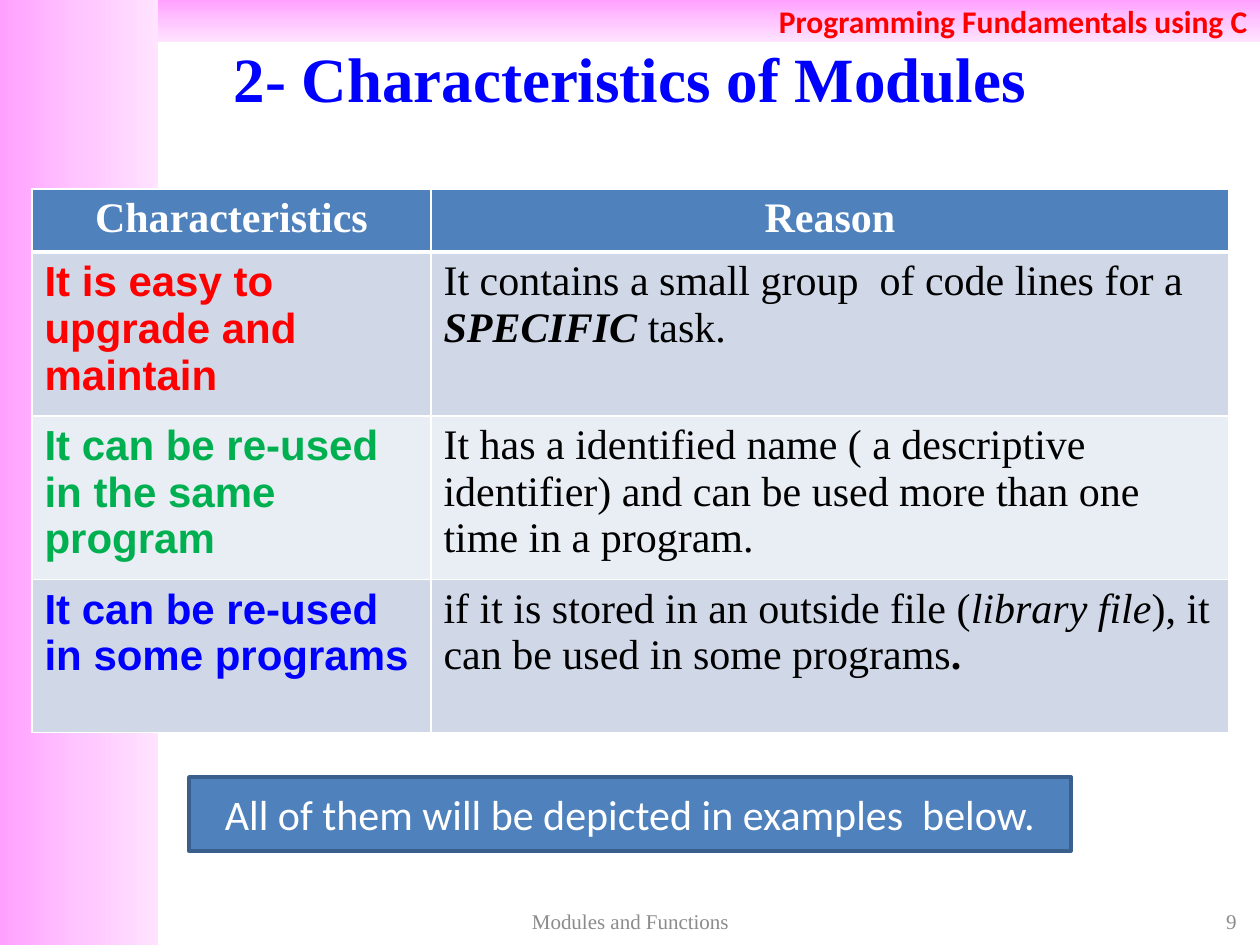
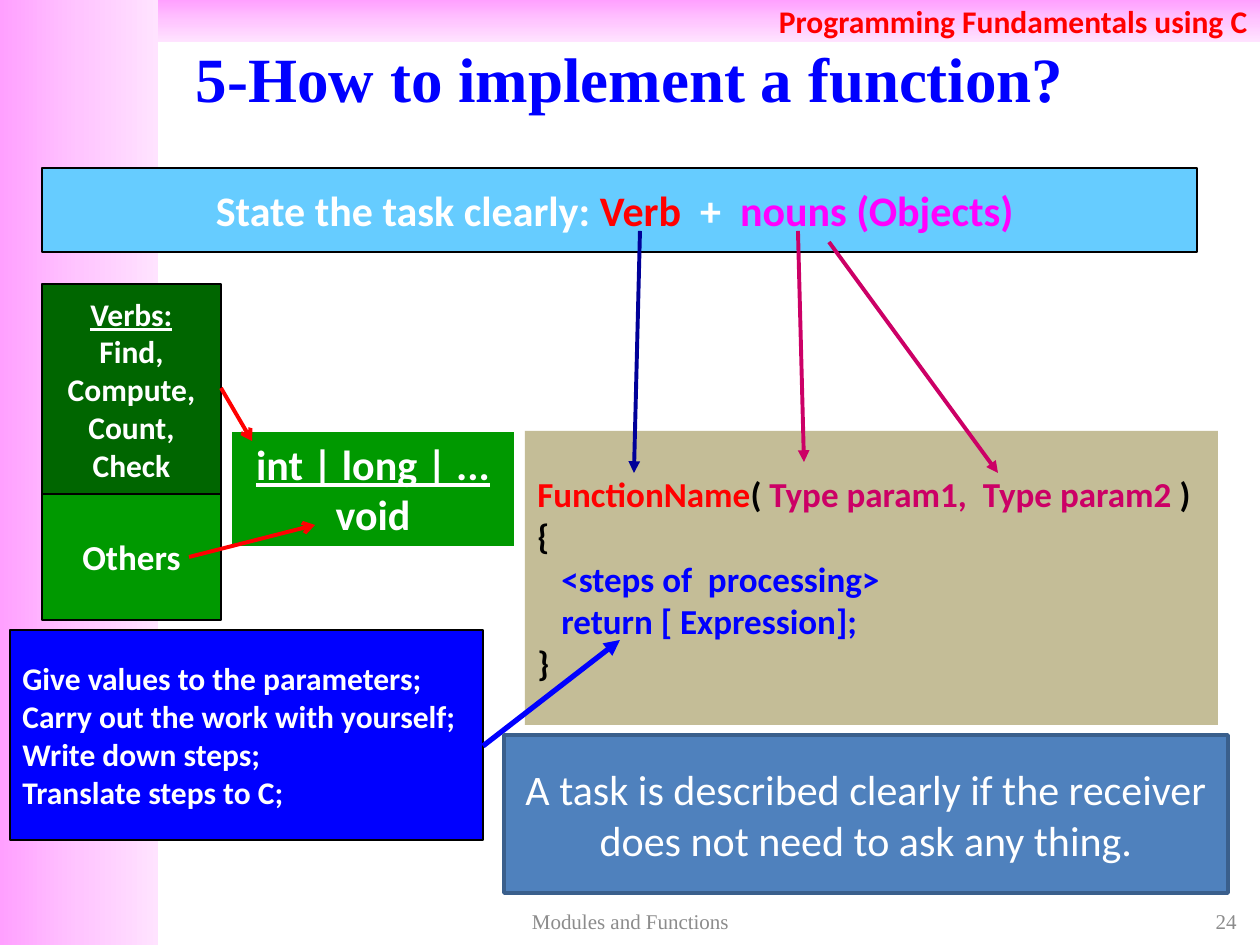
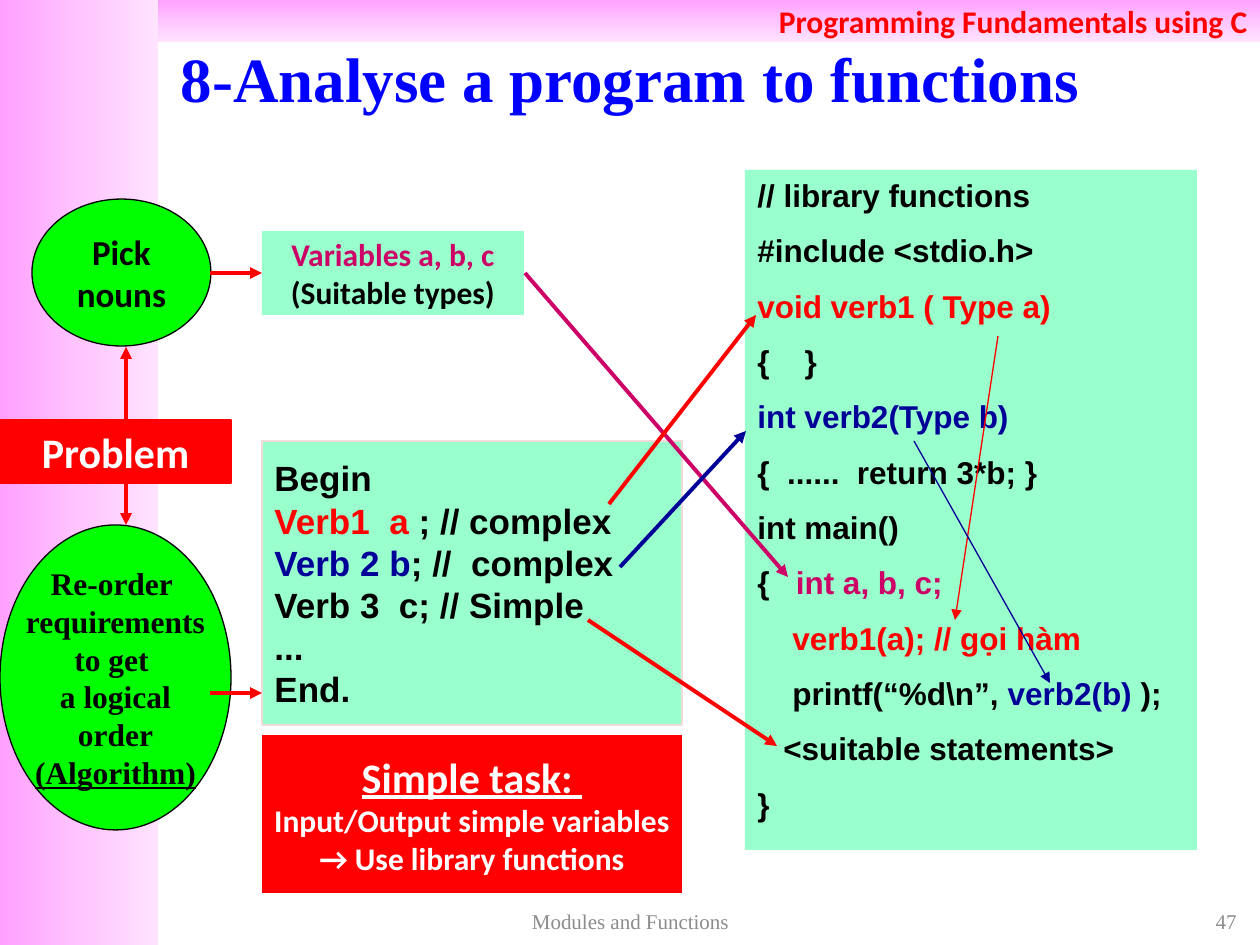
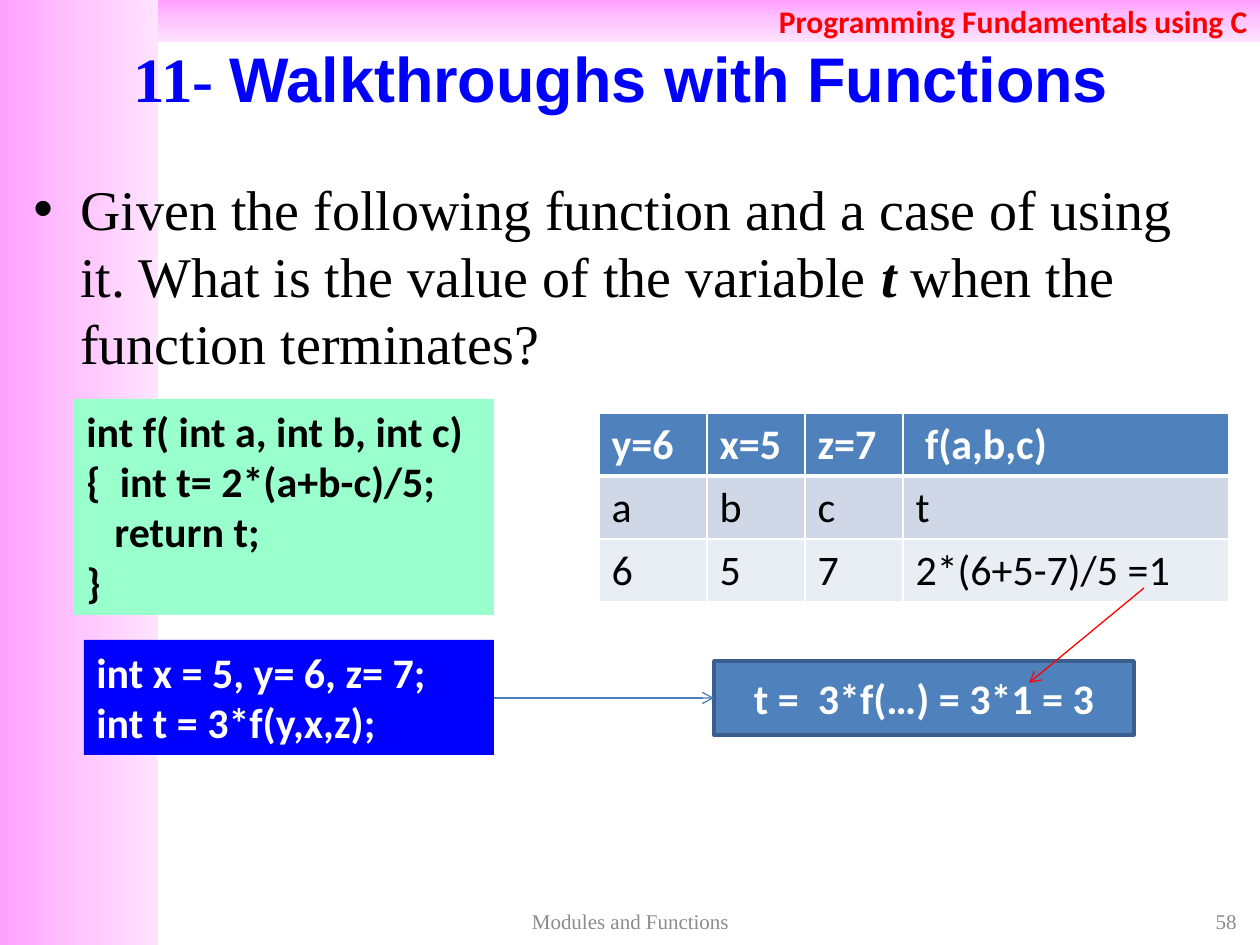
from copy import deepcopy

from lxml import etree
from pptx import Presentation
from pptx.dml.color import RGBColor
from pptx.enum.shapes import MSO_CONNECTOR, MSO_SHAPE
from pptx.enum.text import MSO_ANCHOR, PP_ALIGN
from pptx.oxml.ns import qn
from pptx.util import Emu, Pt

RECT, OVAL, STRAIGHT = MSO_SHAPE.RECTANGLE, MSO_SHAPE.OVAL, MSO_CONNECTOR.STRAIGHT
LEFT, CENTER, RIGHT = PP_ALIGN.LEFT, PP_ALIGN.CENTER, PP_ALIGN.RIGHT
TOP, MIDDLE = MSO_ANCHOR.TOP, MSO_ANCHOR.MIDDLE

WIDTH, HEIGHT, PX_PER_INCH = 1260, 945, 126
SIDE, BAND = 158, 42
BODY = (0, 168, WIDTH, 735)

BLACK, WHITE, RED, BLUE, NAVY = "000000", "FFFFFF", "FF0000", "0000FF", "000099"
CRIMSON, GREEN, LIME, MINT = "CC0066", "009900", "00FF00", "99FFCC"
STEEL, STEEL_EDGE, GREY = "4F81BD", "3A5F8C", "8C8C8C"
ROW_FILLS = ("D0D8E8", "E9EDF4")
PINKS = ((0, "FFA0FF"), (0.5, "FFC5FF"), (1, "FFE3FF"))

SERIF, SANS, ARIAL = "Times New Roman", "Calibri", "Arial"


def px(length):
    """Turn picture pixels into EMU."""
    return Emu(round(length * 914400 / PX_PER_INCH))


def rgb(code):
    """Turn a hex string into a colour."""
    return RGBColor.from_string(code)


def style(size, name=SANS, color=BLACK, **more):
    """Gather the format values of a run."""
    return dict(size=Pt(size), name=name, color=color, **more)


def inside(box, x, y, width, height):
    """Place a box relative to the corner of another one."""
    return box[0] + x, box[1] + y, width, height


def write(frame, lines, base, align=LEFT, gap=0, indents=()):
    """Fill a text frame; a line is a string or a list of (text, changes)."""
    for number, line in enumerate(lines):
        paragraph = frame.paragraphs[0] if number == 0 else frame.add_paragraph()
        paragraph.alignment = align
        if gap and number:
            paragraph.space_before = Pt(gap)
        if number in indents:
            paragraph._p.get_or_add_pPr().set("marL", str(px(indents[number])))
        for text, changes in [(line, {})] if isinstance(line, str) else line:
            run = paragraph.add_run()
            run.text = text
            for key, value in {**base, **changes}.items():
                if key == "color":
                    run.font.color.rgb = rgb(value)
                else:
                    setattr(run.font, key, value)


def panel(slide, box, fill, lines=(), base=None, edge=None, edge_width=0.75,
          kind=RECT, anchor=MIDDLE, wrap=True, **layout):
    """Draw a filled shape with text in it."""
    shape = slide.shapes.add_shape(kind, *map(px, box))
    shape.shadow.inherit = False
    if fill:
        shape.fill.solid()
        shape.fill.fore_color.rgb = rgb(fill)
    if edge:
        shape.line.color.rgb = rgb(edge)
        shape.line.width = Pt(edge_width)
    else:
        shape.line.fill.background()
    shape.text_frame.word_wrap = wrap
    shape.text_frame.vertical_anchor = anchor
    write(shape.text_frame, lines, base, **layout)
    return shape


def label(slide, box, lines, base, anchor=MIDDLE, **layout):
    """Add a plain text box."""
    frame = slide.shapes.add_textbox(*map(px, box)).text_frame
    frame.word_wrap = True
    frame.vertical_anchor = anchor
    write(frame, lines, base, **layout)
    return frame


def arrows(slide, box, specs):
    """Draw arrows given as (x1, y1, x2, y2, colour, width, head)."""
    left, top = box[:2]
    for x1, y1, x2, y2, color, width, head in specs:
        arrow = slide.shapes.add_connector(
            STRAIGHT, px(left + x1), px(top + y1), px(left + x2), px(top + y2))
        arrow.line.color.rgb = rgb(color)
        arrow.line.width = Pt(width)
        etree.SubElement(arrow.line._get_or_add_ln(), qn("a:tailEnd"), type=head)
        etree.SubElement(arrow._element.spPr, qn("a:effectLst"))


def pink_band(slide, box, angle, lines=(), base=None):
    """Draw a band that fades from pink to pale pink."""
    band = panel(slide, box, None, lines, base, align=RIGHT)
    band.fill.gradient()
    band.fill.gradient_angle = angle
    stops = band._element.spPr.find(".//" + qn("a:gsLst"))
    stops.insert(1, deepcopy(stops[0]))
    for stop, (position, color) in zip(band.fill.gradient_stops, PINKS):
        stop.position = position
        stop.color.rgb = rgb(color)


def add_page(deck, title, number):
    """Add a slide with its bands, title and footer."""
    slide = deck.slides.add_slide(deck.slide_layouts[6])
    pink_band(slide, (0, 0, SIDE, HEIGHT), 0)
    pink_band(slide, (SIDE, 0, WIDTH - SIDE, BAND), 270,
              ["Programming Fundamentals using C"], style(18, color=RED, bold=True))
    label(slide, (0, 38, WIDTH, 78), [title], style(36, SERIF, BLUE, bold=True),
          align=CENTER)
    small = style(12, SERIF, GREY)
    label(slide, (955, 904, 294, 34), [str(number)], small, align=RIGHT)
    label(slide, (431, 904, 399, 34), ["Modules and Functions"], small, align=CENTER)
    return slide


def border(cell, widths):
    """Give a cell white borders, widths in points by side."""
    properties = cell._tc.get_or_add_tcPr()
    for place, side in enumerate("LRTB"):
        line = etree.Element(qn("a:ln" + side), w=str(Pt(widths.get(side, 1))))
        fill = etree.SubElement(line, qn("a:solidFill"))
        etree.SubElement(fill, qn("a:srgbClr"), val=WHITE)
        properties.insert(place, line)


def grid(slide, box, columns, heights, rows, header, body, header_align=LEFT):
    """Build a table with a blue header and two alternating row fills."""
    table = slide.shapes.add_table(len(rows), len(columns), *map(px, box)).table
    table.first_row = table.horz_banding = False
    for column, width in zip(table.columns, columns):
        column.width = px(width)
    for r, (row, height) in enumerate(zip(rows, heights)):
        table.rows[r].height = px(height)
        for c, line in enumerate(row):
            cell = table.cell(r, c)
            cell.fill.solid()
            cell.fill.fore_color.rgb = rgb(ROW_FILLS[(r - 1) % 2] if r else STEEL)
            border(cell, {0: {"B": 3}, 1: {"T": 3}}.get(r, {}))
            write(cell.text_frame, [line], body if r else header,
                  align=LEFT if r else header_align)


def note(slide, box, text, **more):
    """Draw a steel blue box with a remark."""
    panel(slide, box, STEEL, [text], style(24, color=WHITE, **more), STEEL_EDGE, 2,
          align=CENTER)


def characteristics(slide, box):
    """Table of module traits with a remark below."""
    def trait(text, color):
        return [(text, dict(name=ARIAL, color=color, bold=True))]

    rows = [
        ["Characteristics", "Reason"],
        [trait("It is easy to upgrade and maintain", RED),
         [("It contains a small group  of code lines for a ", {}),
          ("SPECIFIC", dict(bold=True, italic=True)), (" task.", {})]],
        [trait("It can be re-used in the same program", "00B050"),
         "It has a identified name ( a descriptive identifier) and can be used "
         "more than one time in a program."],
        [trait("It can be re-used in some programs", BLUE),
         [("if it is stored in an outside file (", {}),
          ("library file", dict(italic=True)),
          ("), it can be used in some programs", {}), (".", dict(bold=True))]],
    ]
    grid(slide, inside(box, 32, 21, 1197, 518), (399, 798), (59, 153, 153, 153), rows,
         style(24, SERIF, WHITE, bold=True), style(24, SERIF), CENTER)
    note(slide, inside(box, 189, 609, 882, 74),
         "All of them will be depicted in examples  below.")


def implementation(slide, box):
    """Map a task statement onto the parts of a function."""
    def white(size):
        return style(size, color=WHITE, bold=True)

    underlined = dict(underline=True)
    centred = dict(align=CENTER, wrap=False)
    panel(slide, inside(box, 231, 263, 284, 116), GREEN,
          [[("int | long | ...", underlined)], "void"], white(24), WHITE, **centred)
    panel(slide, inside(box, 42, 0, 1155, 84), "66CCFF",
          [[("State the task clearly: ", {}), ("Verb", dict(color=RED)), ("  +  ", {}),
            ("nouns (Objects) ", dict(color="FF00FF"))]],
          white(24), BLACK, **centred)
    panel(slide, inside(box, 525, 263, 693, 294), "C4BD97",
          [[("FunctionName", dict(color=RED)), ("( ", {}),
            ("Type param1,  Type param2", dict(color=CRIMSON)), (" )", {})],
           "{",
           [("<steps of  processing>", dict(color=BLUE))],
           [("return [ Expression];", dict(color=BLUE))],
           "}"],
          style(20, bold=True), indents={2: 24, 3: 24})
    panel(slide, inside(box, 42, 116, 179, 210), "006600",
          [[("Verbs:", underlined)], "Find,", "Compute,", "Count,", "Check"],
          white(18), BLACK, **centred)
    panel(slide, inside(box, 42, 326, 179, 126), GREEN, ["Others"], white(20), BLACK,
          **centred)
    panel(slide, inside(box, 10, 462, 473, 210), BLUE,
          ["Give values to the parameters;", "Carry out the work with yourself;",
           "Write down steps;", "Translate steps to C;"],
          white(18), BLACK)
    arrows(slide, box, [
        (640, 63, 634, 305, NAVY, 2.25, "triangle"),
        (798, 63, 804, 294, CRIMSON, 2.25, "triangle"),
        (829, 74, 998, 305, CRIMSON, 2.25, "triangle"),
        (483, 578, 620, 472, BLUE, 3, "triangle"),
        (189, 389, 315, 357, RED, 2.25, "arrow"),
        (221, 220, 252, 273, RED, 2.25, "arrow"),
    ])
    note(slide, inside(box, 504, 567, 724, 158),
         "A task is described clearly if the receiver does not need to ask any thing.")


def problem_steps(slide, box):
    """The problem and the two ovals it leads to."""
    centred = dict(align=CENTER, wrap=False)
    panel(slide, inside(box, 0, 252, 231, 63), RED, ["Problem"],
          style(24, color=WHITE, bold=True), RED, **centred)
    panel(slide, inside(box, 32, 31, 179, 147), LIME, ["Pick", "nouns"],
          style(20, bold=True), BLACK, kind=OVAL, **centred)
    panel(slide, inside(box, 0, 357, 231, 305), LIME,
          ["Re-order ", "requirements", "to get ", "a logical", "order",
           [("(Algorithm)", dict(underline=True))]],
          style(18, SERIF, bold=True), BLACK, kind=OVAL, **centred)


def task_outline(slide, box):
    """Variables, pseudo code and the remark on simple tasks."""
    centred = dict(align=CENTER, wrap=False)
    panel(slide, inside(box, 0, 63, 262, 84), MINT,
          [[("Variables a, b, c", dict(color=CRIMSON))], "(Suitable types)"],
          style(18, bold=True), **centred)
    panel(slide, inside(box, 0, 273, 420, 284), MINT,
          ["Begin",
           [("Verb1  a ", dict(color=RED)), ("; // complex", {})],
           [("Verb 2 b", dict(color=NAVY)), ("; //  complex", {})],
           "Verb 3  c; // Simple", "...", "End."],
          style(20, ARIAL, bold=True), "F2DCDB")
    panel(slide, inside(box, 0, 567, 420, 158), RED,
          [[("Simple task: ", dict(size=Pt(24), underline=True))],
           "Input/Output simple variables", "→ Use library functions"],
          style(18, color=WHITE, bold=True), **centred)


def program_listing(slide, box):
    """The C program that results from the analysis."""
    red, navy = dict(color=RED), dict(color=NAVY)
    panel(slide, box, MINT,
          ["// library functions", "#include <stdio.h>",
           [("void verb1 ( Type a)", red)], "{    }",
           [("int verb2(Type b)", navy)], "{  ......  return 3*b; }",
           "int main()",
           [("{   ", {}), ("int a, b, c;", dict(color=CRIMSON))],
           [("verb1(a); // gọi hàm", red)],
           [("printf(“%d\\n”, ", {}), ("verb2(b) ", navy), ("); ", {})],
           "<suitable statements>", "}"],
          style(18, ARIAL, bold=True), anchor=TOP, gap=10,
          indents={8: 35, 9: 35, 10: 26})


def analysis(slide, box):
    """Lead from a problem to a program made of functions."""
    problem_steps(slide, box)
    task_outline(slide, inside(box, 262, 0, 420, 725))
    program_listing(slide, inside(box, 745, 2, 452, 680))
    thick = [(525, 105, 788, 409, CRIMSON), (609, 336, 756, 147, RED),
             (620, 399, 746, 263, NAVY), (588, 452, 777, 578, RED),
             (126, 252, 126, 179, RED), (126, 315, 126, 357, RED),
             (210, 105, 262, 105, RED), (210, 525, 262, 525, RED)]
    thin = [(998, 168, 955, 452, RED), (914, 273, 1050, 515, NAVY)]
    for width, lines in ((2.25, thick), (0.75, thin)):
        arrows(slide, box, [(*line, width, "triangle") for line in lines])


def walkthrough(slide, box):
    """A question, its code and the trace of the values."""
    question = label(
        slide, inside(box, 21, 0, 1187, 220),
        [[("Given the following function and a case of using it. What is the value "
           "of the variable ", {}), ("t", dict(bold=True, italic=True)),
          (" when the function terminates?", {})]],
        style(32, SERIF), anchor=TOP)
    first = question.paragraphs[0]
    first.space_before = Pt(6.4)
    properties = first._p.get_or_add_pPr()
    properties.set("marL", str(px(47)))
    properties.set("indent", str(-px(47)))
    etree.SubElement(properties, qn("a:buFont"), typeface=ARIAL)
    etree.SubElement(properties, qn("a:buChar"), char="•")

    panel(slide, inside(box, 74, 231, 420, 216), MINT,
          ["int f( int a, int b, int c)", "{  int t= 2*(a+b-c)/5;", "return t;", "}"],
          style(24, bold=True), anchor=TOP, indents={2: 28})
    panel(slide, inside(box, 84, 472, 410, 115), BLUE,
          ["int x = 5, y= 6, z= 7;", "int t = 3*f(y,x,z);"],
          style(24, color=WHITE, bold=True), anchor=TOP)
    rows = [["y=6", "x=5", "z=7", " f(a,b,c)"],
            ["a", "b", "c", "t"],
            ["6", "5", "7", "2*(6+5-7)/5 =1"]]
    grid(slide, inside(box, 599, 245, 630, 189), (108, 98, 98, 326), [63] * 3, rows,
         style(24, color=WHITE, bold=True), style(24))
    note(slide, inside(box, 714, 493, 420, 74), "t =  3*f(…) = 3*1 = 3", bold=True)
    arrows(slide, box, [(494, 530, 714, 530, "4B7EBC", 0.75, "arrow"),
                        (1144, 420, 1029, 515, RED, 0.75, "arrow")])


def main():
    """Build the four slides and save them."""
    deck = Presentation()
    deck.slide_width, deck.slide_height = px(WIDTH), px(HEIGHT)
    pages = [
        ("2- Characteristics of Modules", 9, characteristics),
        ("5-How to implement a function?", 24, implementation),
        ("8-Analyse a program to functions", 47, analysis),
        ([("11- ", {}), ("Walkthroughs with Functions ", dict(name=ARIAL))], 58,
         walkthrough),
    ]
    for title, number, fill_body in pages:
        fill_body(add_page(deck, title, number), BODY)
    deck.save("out.pptx")


main()
